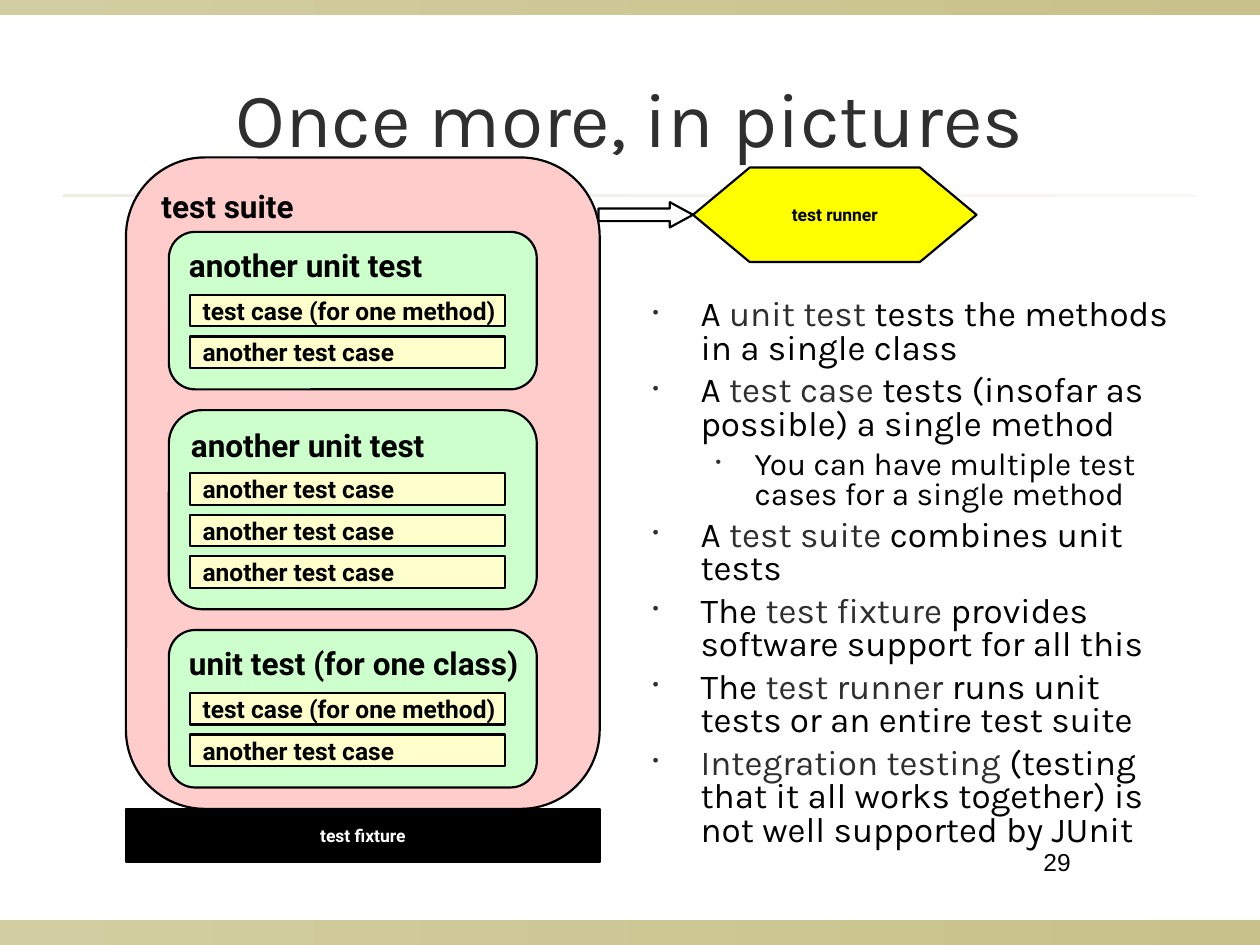
from lxml.etree import SubElement
from pptx import Presentation
from pptx.dml.color import RGBColor
from pptx.enum.shapes import MSO_SHAPE
from pptx.enum.text import MSO_ANCHOR, MSO_AUTO_SIZE, PP_ALIGN
from pptx.oxml.ns import qn
from pptx.util import Inches, Pt

BLACK, ACCENT = "000000", "2F2F2F"
UNIT_GAP, CASE_STEP = 0.165, 0.33
UNITS = [
    ("another unit test", ["test case (for one method)", "another test case"]),
    ("another unit test", ["another test case"] * 3),
    ("unit test (for one class)", ["test case (for one method)", "another test case"]),
]
POINTS = [
    (0, "A ", "unit test", " tests the methods in a single class"),
    (0, "A ", "test case", " tests (insofar as possible) a single method"),
    (1, "You can have multiple test cases for a single method", "", ""),
    (0, "A ", "test suite", " combines unit tests"),
    (0, "The ", "test fixture", " provides software support for all this"),
    (0, "The ", "test runner", " runs unit tests or an entire test suite"),
    (0, "", "Integration testing", " (testing that it all works together) is not well supported by JUnit"),
]


def paint(color_format, value):
    color_format.rgb = RGBColor.from_string(value)


def place(shape, left, top, width, height):
    shape.left, shape.top = Inches(left), Inches(top)
    shape.width, shape.height = Inches(width), Inches(height)


def add_span(para, text, size=18, font="Roboto", color=BLACK, bold=False):
    span = para.add_run()
    span.text = text
    span.font.size = Pt(size)
    span.font.name = font
    span.font.bold = bold
    paint(span.font.color, color)


def write(shape, text, anchor=MSO_ANCHOR.MIDDLE, align=PP_ALIGN.LEFT, wrap=False, **style):
    frame = shape.text_frame
    frame.word_wrap = wrap
    frame.auto_size = MSO_AUTO_SIZE.NONE
    frame.vertical_anchor = anchor
    para = frame.paragraphs[0]
    para.alignment = align
    add_span(para, text, **style)


def add_figure(page, kind, box, fill=None):
    shape = page.shapes.add_shape(kind, *(Inches(length) for length in box))
    shape.shadow.inherit = False
    if fill:
        shape.fill.solid()
        paint(shape.fill.fore_color, fill)
    else:
        shape.fill.background()
    paint(shape.line.color, BLACK)
    shape.line.width = Pt(1.25)
    return shape


def add_band(page, box, start, end):
    band = add_figure(page, MSO_SHAPE.RECTANGLE, box)
    band.line.fill.background()
    band.fill.gradient()
    band.fill.gradient_angle = 0
    for stop, value, position in zip(band.fill.gradient_stops, (start, end), (0, 1)):
        paint(stop.color, value)
        stop.position = position


def add_background(page, width, height):
    add_band(page, (0, height - 0.2, width, 0.2), "D3CEA1", "C8C18A")
    add_band(page, (0, 0, width, 0.12), "D3CEA1", "C8C18A")
    add_band(page, (0.5, 1.54, width - 1, 0.02), "EDECE5", "F8F7F5")


def add_title(page, *box):
    title = page.shapes.title
    place(title, *box)
    write(title, "Once more, in pictures", align=PP_ALIGN.CENTER, wrap=True,
          size=44, font="Karla", color=ACCENT)


def add_unit(page, left, top, name, cases):
    height = 0.59 + CASE_STEP * len(cases)
    unit = add_figure(page, MSO_SHAPE.FLOWCHART_ALTERNATE_PROCESS,
                      (left, top, 2.92, height), "CCFFCC")
    write(unit, name, anchor=MSO_ANCHOR.TOP, bold=True)
    for row, label in enumerate(cases):
        box = (left + 0.17, top + 0.5 + row * CASE_STEP, 2.5, 0.25)
        case = add_figure(page, MSO_SHAPE.FLOWCHART_PROCESS, box, "FFFFCC")
        write(case, label, size=14, bold=True)
    return height


def add_suite(page, left, top, width, height):
    suite = add_figure(page, MSO_SHAPE.FLOWCHART_ALTERNATE_PROCESS,
                       (left, top, width, height), "FFCCCC")
    write(suite, "test suite", anchor=MSO_ANCHOR.TOP, bold=True)
    unit_top = top + 0.59
    for name, cases in UNITS:
        unit_top += add_unit(page, left + 0.34, unit_top, name, cases) + UNIT_GAP
    fixture = add_figure(page, MSO_SHAPE.FLOWCHART_PROCESS,
                         (left, top + height, width, 0.42), BLACK)
    write(fixture, "test fixture", align=PP_ALIGN.CENTER, size=10, color="FFFFFF", bold=True)


def add_runner(page, left, top, width, height):
    arrow_length = 0.75
    runner = add_figure(page, MSO_SHAPE.FLOWCHART_PREPARATION,
                        (left + arrow_length, top, width - arrow_length, height), "FFFF00")
    write(runner, "test runner", align=PP_ALIGN.CENTER, size=10, bold=True)
    arrow = add_figure(page, MSO_SHAPE.RIGHT_ARROW,
                       (left, top + height / 2 - 0.1, arrow_length, 0.2))
    arrow.adjustments[0], arrow.adjustments[1] = 0.5, 0.918


def add_bullet(para, level):
    margin, hanging = ((0.38, 0.38), (0.81, 0.31))[level]
    properties = para._p.get_or_add_pPr()
    properties.set("marL", str(Inches(margin)))
    properties.set("indent", str(-Inches(hanging)))
    color = SubElement(properties, qn("a:buClr"))
    SubElement(color, qn("a:srgbClr"), val=ACCENT)
    SubElement(properties, qn("a:buSzPct"), val="50000")
    SubElement(properties, qn("a:buFont"), typeface="Arial")
    SubElement(properties, qn("a:buChar"), char="•")


def add_points(page, *box):
    body = page.placeholders[1]
    place(body, *box)
    frame = body.text_frame
    frame.word_wrap = True
    frame.auto_size = MSO_AUTO_SIZE.NONE
    frame.vertical_anchor = MSO_ANCHOR.TOP
    for number, (level, before, term, after) in enumerate(POINTS):
        para = frame.add_paragraph() if number else frame.paragraphs[0]
        add_bullet(para, level)
        para.level = level
        para.line_spacing = 0.8
        para.space_before = Pt((5, 4.5)[level] if number else 0)
        for text, color in ((before, BLACK), (term, ACCENT), (after, BLACK)):
            if text:
                add_span(para, text, size=(20, 18)[level], font="Karla", color=color)


def add_page_number(page, *box):
    number = page.shapes.add_textbox(*(Inches(length) for length in box))
    write(number, "29", align=PP_ALIGN.CENTER, wrap=True, size=14, font="Arial")


def main():
    deck = Presentation()
    deck.slide_width, deck.slide_height = Inches(10), Inches(7.5)
    page = deck.slides.add_slide(deck.slide_layouts[1])
    add_background(page, 10, 7.5)
    add_title(page, 0.5, 0.3, 9, 1.25)
    add_suite(page, 1, 1.25, 3.76, 5.17)
    add_runner(page, 4.75, 1.33, 3, 0.75)
    add_points(page, 5.08, 2.33, 4.33, 4.67)
    add_page_number(page, 7.36, 6.58, 2.06, 0.52)
    deck.save("out.pptx")


if __name__ == "__main__":
    main()
